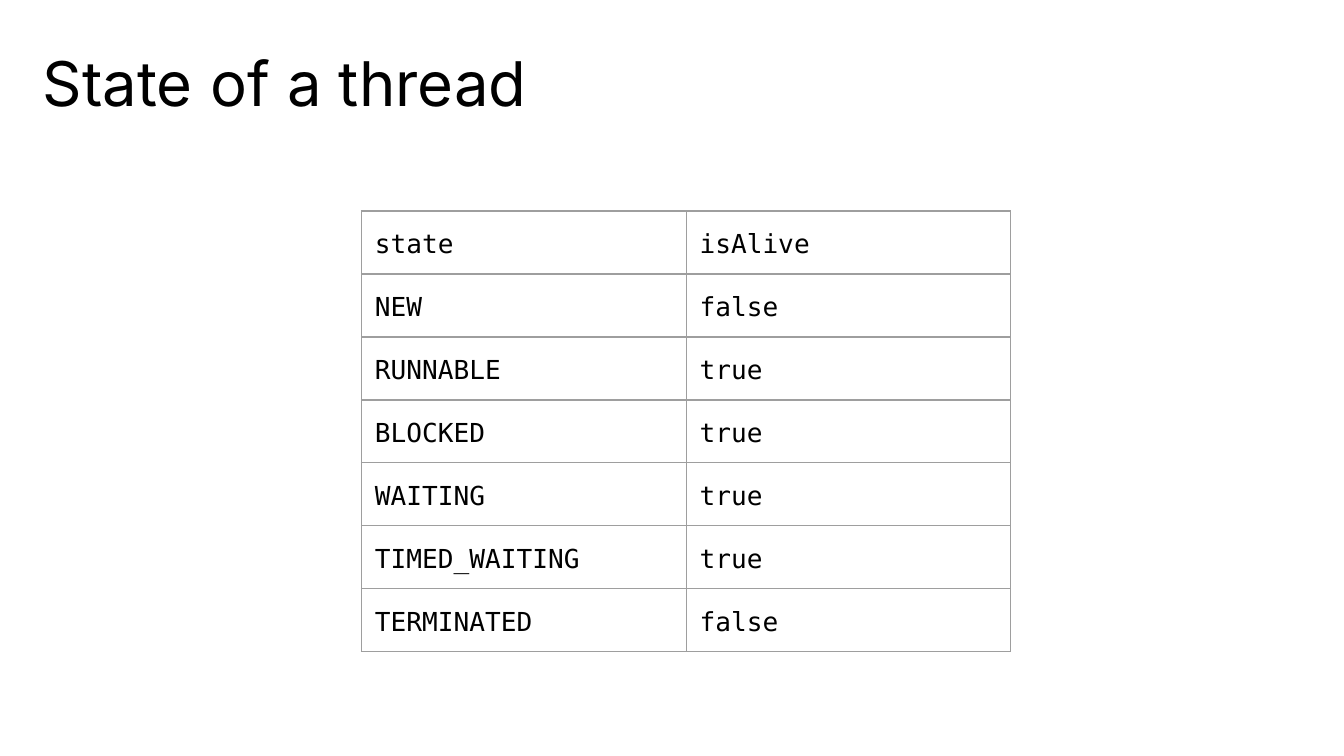
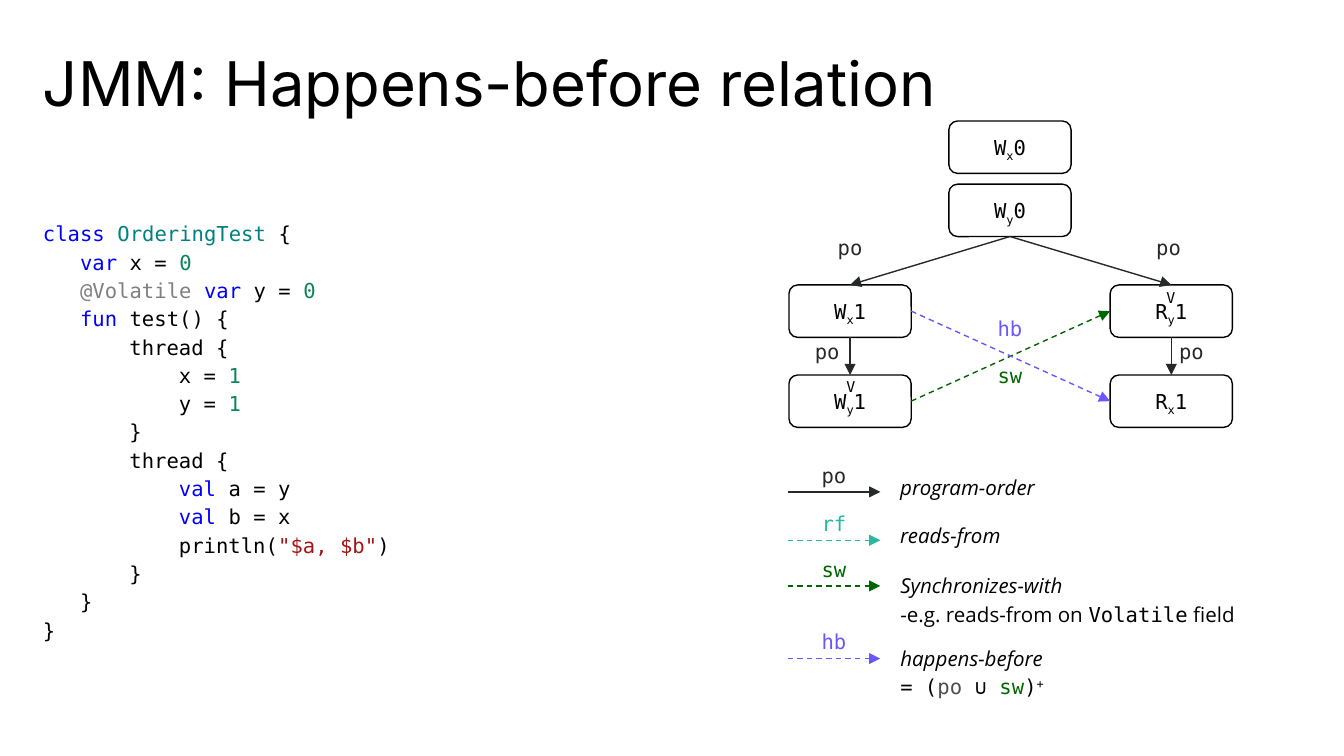
import dataclasses

import lxml.etree
import pptx
import pptx.dml.color
import pptx.enum.dml
import pptx.enum.shapes
import pptx.enum.text
import pptx.oxml.ns
import pptx.util

MONO, SANS, HEAD = "DejaVu Sans Mono", "Open Sans", "Inter"


@dataclasses.dataclass(frozen=True)
class Style:
    color: str = "000000"
    font: str = MONO
    size: int = 11
    italic: bool = False
    baseline: int = 0


@dataclasses.dataclass(frozen=True)
class Theme:
    title = Style(font=HEAD, size=33)
    cell = Style(size=14)
    code = Style()
    keyword = Style("0000FF")
    type = Style("008080")
    number = Style("098658")
    annotation = Style("808080")
    string = Style("A31515")
    sub = Style(baseline=-25000)
    sup = Style(baseline=30000)
    volatile = Style(size=8)
    term = Style(font=SANS, italic=True)
    plain = Style(font=SANS)
    dim = Style("4D4D4D")
    po = Style("27282C")
    rf = Style("28B8A0")
    sw = Style("006600")
    hb = Style("6B57FF")
    paper = "FFFFFF"
    outline = "000000"
    border = "9E9E9E"
    line_width = pptx.util.Pt(0.75)


T = Theme()
qn = pptx.oxml.ns.qn
rgb = pptx.dml.color.RGBColor.from_string

# Grid of square units: 100 columns by 56.25 rows
deck = pptx.Presentation()
deck.slide_width, deck.slide_height = pptx.util.Inches(10), pptx.util.Inches(5.625)
UNIT = deck.slide_width // 100
PAD = (1, 1, 1, 1)
LABEL_SIZE = (4.7, 3.9)


def place_text(slide, box, lines, pad=PAD, spacing=1.0, centred=False, node=False):
    """Put lines of (text, style) runs in a text box or a rounded node."""
    box = [int(length * UNIT) for length in box]
    if node:
        holder = slide.shapes.add_shape(
            pptx.enum.shapes.MSO_SHAPE.ROUNDED_RECTANGLE, *box)
        holder.shadow.inherit = False
        holder.fill.solid()
        holder.fill.fore_color.rgb = rgb(T.paper)
        holder.line.color.rgb = rgb(T.outline)
        holder.line.width = T.line_width
    else:
        holder = slide.shapes.add_textbox(*box)
    frame = holder.text_frame
    frame.word_wrap = True
    anchors = pptx.enum.text.MSO_ANCHOR
    frame.vertical_anchor = anchors.MIDDLE if node else anchors.TOP
    (frame.margin_left, frame.margin_top,
     frame.margin_right, frame.margin_bottom) = [int(p * UNIT) for p in pad]
    aligns = pptx.enum.text.PP_ALIGN
    for i, line in enumerate(lines):
        paragraph = frame.add_paragraph() if i else frame.paragraphs[0]
        paragraph.line_spacing = spacing
        paragraph.alignment = aligns.CENTER if centred else aligns.LEFT
        for text, style in line:
            run = paragraph.add_run()
            run.text = text
            run.font.name, run.font.size = style.font, pptx.util.Pt(style.size)
            run.font.italic = style.italic
            run.font.color.rgb = rgb(style.color)
            if style.baseline:
                run.font._element.set("baseline", str(style.baseline))
    return frame


def draw_arrow(slide, start, end, style, dashed):
    arrow = slide.shapes.add_connector(
        pptx.enum.shapes.MSO_CONNECTOR.STRAIGHT,
        *[int(length * UNIT) for length in (*start, *end)])
    arrow.line.color.rgb = rgb(style.color)
    arrow.line.width = T.line_width
    if dashed:
        arrow.line.dash_style = pptx.enum.dml.MSO_LINE.DASH
    outline = arrow.line._get_or_add_ln()
    lxml.etree.SubElement(outline, qn("a:tailEnd"), type="triangle")
    lxml.etree.SubElement(arrow._element.spPr, qn("a:effectLst"))


# Both slides with their titles
slides = []
for title in ("State of a thread", "JMM: Happens-before relation"):
    slide = deck.slides.add_slide(deck.slide_layouts[6])
    place_text(slide, (3.2, 3.2, 93, 5), [[(title, T.title)]],
               pad=(0, 1, 0, 1), spacing=0.85)
    slides.append(slide)
states_slide, relation_slide = slides

# Slide 1: thread states
STATES = [("state", "isAlive"), ("NEW", "false"), ("RUNNABLE", "true"),
          ("BLOCKED", "true"), ("WAITING", "true"), ("TIMED_WAITING", "true"),
          ("TERMINATED", "false")]
COLUMN, ROW = 24.15, 4.3
states = states_slide.shapes.add_table(
    len(STATES), 2, *[int(length * UNIT) for length in
                      (26.9, 15.7, 2 * COLUMN, len(STATES) * ROW)]).table
states.first_row = states.horz_banding = False
for r, values in enumerate(STATES):
    for c, value in enumerate(values):
        cell = states.cell(r, c)
        cell.margin_left = cell.margin_right = UNIT
        cell.margin_top = cell.margin_bottom = UNIT
        cell.fill.background()
        paragraph = cell.text_frame.paragraphs[0]
        paragraph.line_spacing = 1.15
        run = paragraph.add_run()
        run.text = value
        run.font.name, run.font.size = T.cell.font, pptx.util.Pt(T.cell.size)
        run.font.color.rgb = rgb(T.cell.color)
        properties = cell._tc.get_or_add_tcPr()
        for i, side in enumerate(("a:lnL", "a:lnR", "a:lnT", "a:lnB")):
            edge = lxml.etree.Element(qn(side), w=str(int(T.line_width)))
            fill = lxml.etree.SubElement(edge, qn("a:solidFill"))
            lxml.etree.SubElement(fill, qn("a:srgbClr"), val=T.border)
            properties.insert(i, edge)

# Slide 2: code, each line with its indent in characters
CODE = [
    (0, [("class ", T.keyword), ("OrderingTest", T.type), (" {", T.code)]),
    (3, [("var", T.keyword), (" x = ", T.code), ("0", T.number)]),
    (3, [("@Volatile ", T.annotation), ("var", T.keyword),
         (" y = ", T.code), ("0", T.number)]),
    (3, [("fun", T.keyword), (" test() {", T.code)]),
    (7, [("thread {", T.code)]),
    (11, [("x = ", T.code), ("1", T.number)]),
    (11, [("y = ", T.code), ("1", T.number)]),
    (7, [("}", T.code)]),
    (7, [("thread {", T.code)]),
    (11, [("val", T.keyword), (" a = y", T.code)]),
    (11, [("val", T.keyword), (" b = x", T.code)]),
    (11, [("println(", T.code), ('"$a, $b"', T.string), (")", T.code)]),
    (7, [("}", T.code)]),
    (3, [("}", T.code)]),
    (0, [("}", T.code)]),
]
CHARACTER = pptx.util.Pt(0.602 * T.code.size)
listing = place_text(relation_slide, (3.2, 14.6, 45.3, 33.6),
                     [runs for _, runs in CODE], pad=(0, 1.6, 0, 0), spacing=1.15)
for paragraph, (indent, _) in zip(listing.paragraphs, CODE):
    properties = paragraph._p.get_or_add_pPr()
    properties.set("marL", str(indent * CHARACTER))
    properties.set("indent", "0")

# Slide 2: memory events
LEFT, MIDDLE, RIGHT = 58.7, 70.6, 82.6
INIT_X, INIT_Y, UPPER, LOWER = 9, 13.7, 21.2, 27.9
NODE_W, NODE_H = 9.1, 3.9
EVENTS = [(MIDDLE, INIT_X, "Wx0"), (MIDDLE, INIT_Y, "Wy0"), (LEFT, UPPER, "Wx1"),
          (RIGHT, UPPER, "Ry1"), (LEFT, LOWER, "Wy1"), (RIGHT, LOWER, "Rx1")]
for x, y, (action, variable, value) in EVENTS:
    place_text(relation_slide, (x, y, NODE_W, NODE_H),
               [[(action, T.code), (variable, T.sub), (value, T.code)]],
               spacing=1.15, centred=True, node=True)

# Slide 2: program order down each side, crossing relations between the sides
HALF_W, HALF_H = NODE_W / 2, NODE_H / 2
for x in (LEFT, RIGHT):
    centre = x + HALF_W
    draw_arrow(relation_slide, (MIDDLE + HALF_W, INIT_Y + NODE_H),
               (centre, UPPER), T.po, False)
    draw_arrow(relation_slide, (centre, UPPER + NODE_H), (centre, LOWER), T.po, False)
for begin, end, style in ((LOWER, UPPER, T.sw), (UPPER, LOWER, T.hb)):
    draw_arrow(relation_slide, (LEFT + NODE_W, begin + HALF_H),
               (RIGHT, end + HALF_H), style, True)

# Slide 2: volatile marks and arrow labels
for x, y in ((85.8, 20.8), (62, 27.4)):
    place_text(relation_slide, (x, y, 2.4, 3.4), [[("V", T.volatile)]])
LABELS = [(72.8, 22.6, "hb", T.hb), (72.8, 26.1, "sw", T.sw),
          (84.6, 16.6, "po", T.po), (60.9, 16.6, "po", T.po),
          (86.3, 24.3, "po", T.po), (59.2, 24.3, "po", T.po)]
for x, y, name, style in LABELS:
    place_text(relation_slide, (x, y, *LABEL_SIZE), [[(name, style)]], centred=True)

# Slide 2: legend
LEGEND = [
    (36.6, "po", T.po, [[("program-order", T.term)]]),
    (40.2, "rf", T.rf, [[("reads-from", T.term)]]),
    (43.6, "sw", T.sw, [[("Synchronizes-with", T.term)],
                        [("-e.g. reads-from on ", T.plain), ("Volatile", T.code),
                         (" field", T.plain)]]),
    (49, "hb", T.hb, [[("happens-before", T.term)],
                      [("= (", T.code), ("po ", T.dim), ("∪ ", T.code),
                       ("sw", T.sw), (")", T.code), ("+", T.sup)]]),
]
for y, name, style, meaning in LEGEND:
    draw_arrow(relation_slide, (58.6, y), (65.5, y), style, style != T.po)
    place_text(relation_slide, (59.7, y - 3.1, *LABEL_SIZE), [[(name, style)]],
               centred=True)
    width, height, spacing = (30.2, 6, 1.15) if len(meaning) > 1 else (15.6, 3.9, 1.0)
    place_text(relation_slide, (66, y - 2.2, width, height), meaning, spacing=spacing)

deck.save("out.pptx")
